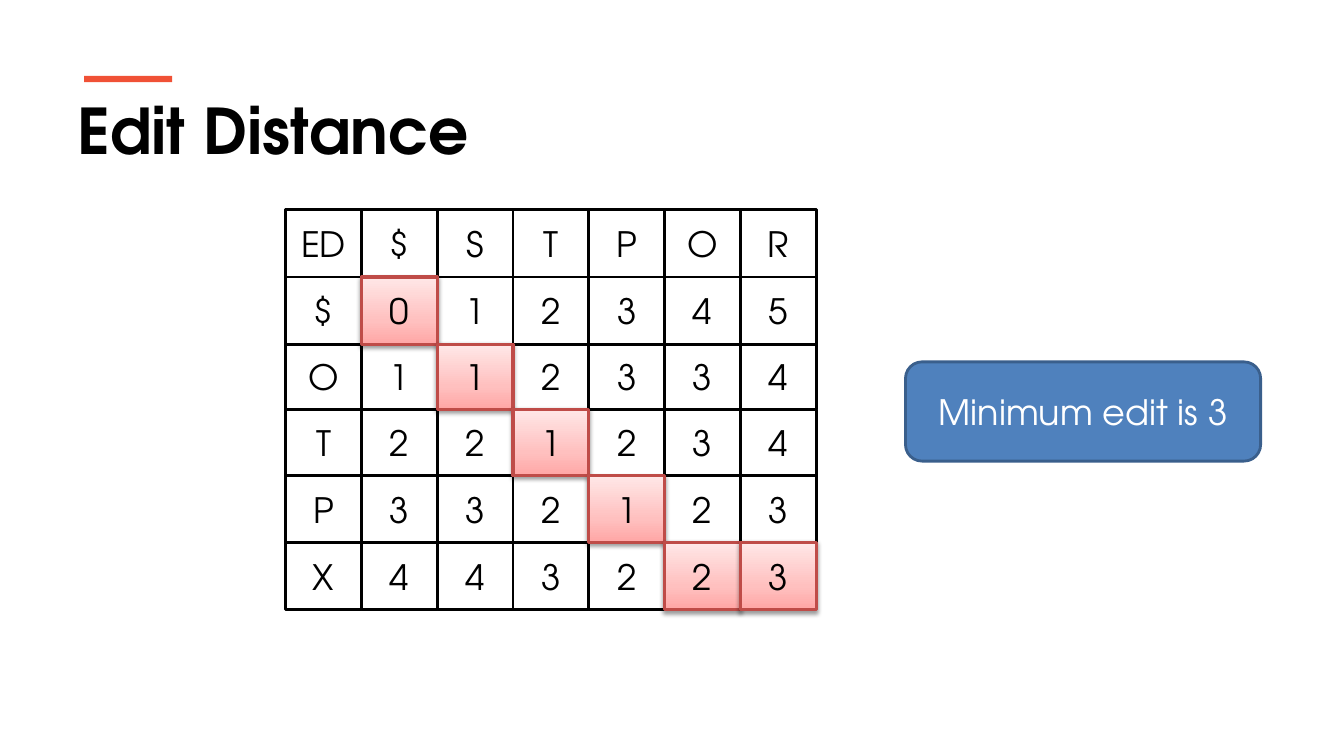
"""Build the Edit Distance slide with its cost grid and highlighted path."""
from dataclasses import dataclass
from itertools import accumulate

from lxml.etree import SubElement
from pptx import Presentation
from pptx.dml.color import RGBColor
from pptx.enum.shapes import MSO_SHAPE as ShapeKind
from pptx.enum.text import MSO_ANCHOR as Anchor, PP_ALIGN as Align
from pptx.oxml.ns import qn
from pptx.shapes.autoshape import Shape
from pptx.slide import Slide
from pptx.text.text import TextFrame
from pptx.util import Cm, Pt

FONT = "TeX Gyre Adventor"
COLORS = {
    "black": "000000",
    "white": "FFFFFF",
    "accent": "F05136",
    "result": "4F81BD",
    "result_line": "3A5F8C",
    "path_line": "BF4C48",
}
PATH_STOPS = ((0, "FFA6A5"), (35, "FFC0BF"), (100, "FFE7E7"))

GRID = (
    ("ED", "$", "S", "T", "P", "O", "R"),
    ("$", "0", "1", "2", "3", "4", "5"),
    ("O", "1", "1", "2", "3", "3", "4"),
    ("T", "2", "2", "1", "2", "3", "4"),
    ("P", "3", "3", "2", "1", "2", "3"),
    ("X", "4", "4", "3", "2", "2", "3"),
)
PATH = ((1, 1), (2, 2), (3, 3), (4, 4), (5, 5), (5, 6))
GRID_LEFT, GRID_TOP, COLUMN_WIDTH = 7.2, 5.28, 1.91
ROW_HEIGHTS = (1.7, 1.7, 1.63, 1.68, 1.68, 1.7)
ROW_TOPS = tuple(accumulate(ROW_HEIGHTS, initial=GRID_TOP))


@dataclass(frozen=True)
class Box:
    """Position and size in centimetres."""
    left: float
    top: float
    width: float
    height: float

    def lengths(self) -> tuple[Cm, ...]:
        """Give the four lengths that python-pptx expects."""
        return tuple(Cm(value) for value in (self.left, self.top, self.width, self.height))


def color(name: str) -> RGBColor:
    """Look up a named colour."""
    return RGBColor.from_string(COLORS[name])


def write(frame: TextFrame, text: str, *, size: float = 25, ink: str = "black",
          bold: bool = False, align: Align = Align.CENTER, anchor: Anchor = Anchor.MIDDLE) -> None:
    """Put one formatted paragraph into a text frame."""
    frame.word_wrap = True
    frame.vertical_anchor = anchor
    paragraph = frame.paragraphs[0]
    paragraph.alignment = align
    run = paragraph.add_run()
    run.text = text
    run.font.name = FONT
    run.font.size = Pt(size)
    run.font.bold = bold
    run.font.color.rgb = color(ink)


def add_box(slide: Slide, box: Box, *, fill: str, line: str | None = None,
            line_width: float = 2, kind: ShapeKind = ShapeKind.RECTANGLE) -> Shape:
    """Draw a flat shape with an optional outline."""
    shape = slide.shapes.add_shape(kind, *box.lengths())
    shape.shadow.inherit = False
    shape.fill.solid()
    shape.fill.fore_color.rgb = color(fill)
    if line:
        shape.line.color.rgb = color(line)
        shape.line.width = Pt(line_width)
    else:
        shape.line.fill.background()
    return shape


def add_glow(shape: Shape) -> None:
    """Give a path cell its red gradient and soft shadow."""
    shape.fill.gradient()
    shape.fill.gradient_angle = 90
    properties = shape._element.spPr
    stops = properties.find(qn("a:gradFill")).find(qn("a:gsLst"))
    stops.clear()
    for position, shade in PATH_STOPS:
        stop = SubElement(stops, qn("a:gs"), pos=str(position * 1000))
        SubElement(stop, qn("a:srgbClr"), val=shade)
    shadow = SubElement(properties.find(qn("a:effectLst")), qn("a:outerShdw"),
                        blurRad="40000", dist="20000", dir="5400000", rotWithShape="0")
    tint = SubElement(shadow, qn("a:srgbClr"), val=COLORS["black"])
    SubElement(tint, qn("a:alpha"), val="38000")


def add_cell(slide: Slide, row: int, column: int) -> None:
    """Draw one grid cell, highlighted when it lies on the path."""
    on_path = (row, column) in PATH
    box = Box(GRID_LEFT + column * COLUMN_WIDTH, ROW_TOPS[row], COLUMN_WIDTH, ROW_HEIGHTS[row])
    cell = add_box(slide, box, fill="white", line="path_line" if on_path else "black",
                   line_width=2.25 if on_path else 2)
    if on_path:
        add_glow(cell)
    write(cell.text_frame, GRID[row][column])


def main() -> None:
    """Assemble and save the slide."""
    presentation = Presentation()
    presentation.slide_width, presentation.slide_height = Cm(33.87), Cm(19.05)
    slide = presentation.slides.add_slide(presentation.slide_layouts[6])

    title = slide.shapes.add_textbox(*Box(1.7, 2.18, 30.94, 2.18).lengths())
    write(title.text_frame, "Edit Distance", size=45, bold=True, align=Align.LEFT,
          anchor=Anchor.TOP)
    add_box(slide, Box(2.12, 1.91, 2.22, 0.16), fill="accent")

    positions = [(row, column) for row in range(len(GRID)) for column in range(len(GRID[row]))]
    for row, column in sorted(positions, key=lambda position: position in PATH):
        add_cell(slide, row, column)

    result = add_box(slide, Box(22.82, 9.12, 8.95, 2.5), fill="result", line="result_line",
                     kind=ShapeKind.ROUNDED_RECTANGLE)
    write(result.text_frame, "Minimum edit is 3", ink="white")

    presentation.save("out.pptx")


if __name__ == "__main__":
    main()
